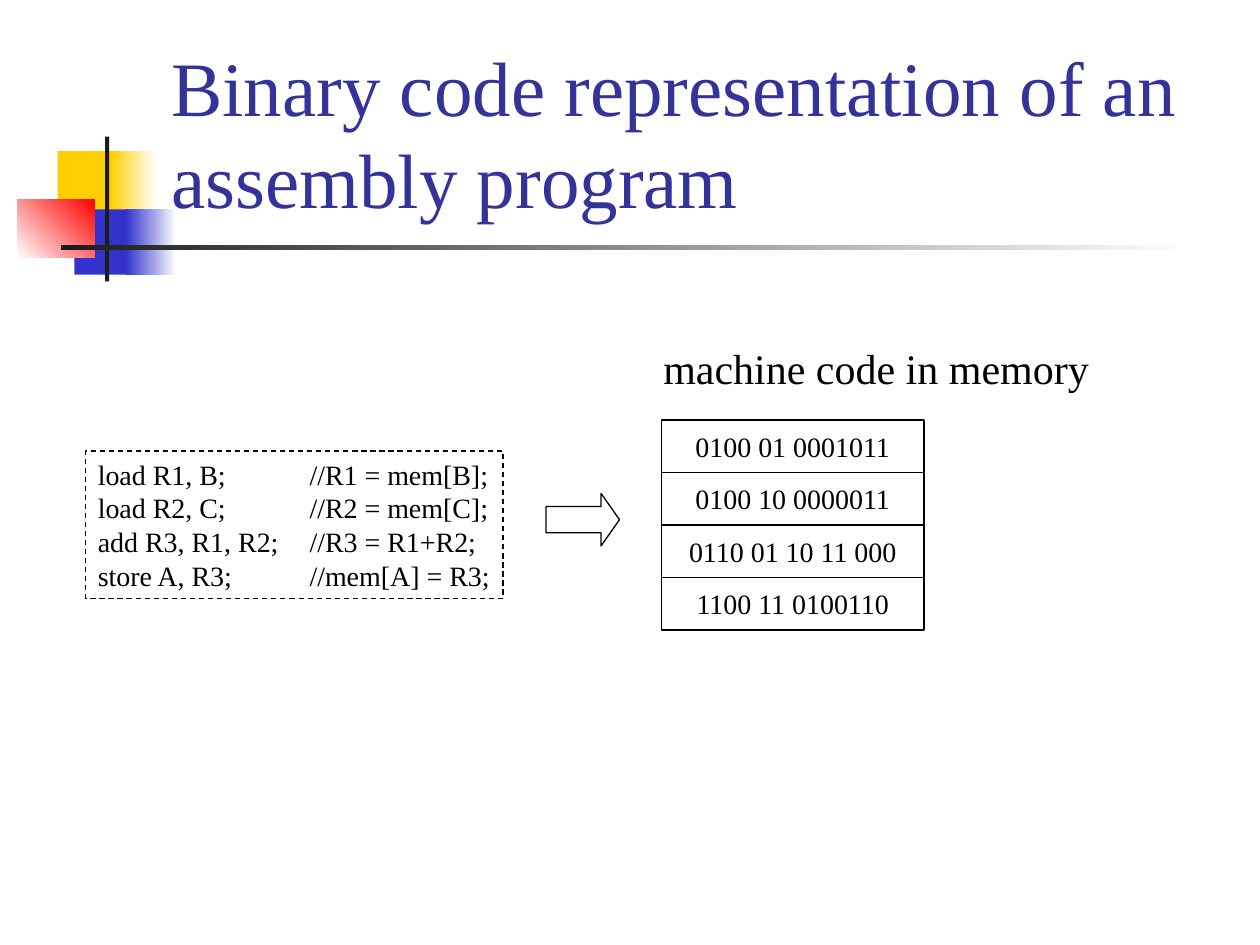
"""Build a slide that shows an assembly program beside its binary code in memory."""
from lxml.etree import SubElement
from pptx import Presentation
from pptx.dml.color import RGBColor
from pptx.enum.dml import MSO_LINE
from pptx.enum.shapes import MSO_SHAPE
from pptx.enum.text import MSO_ANCHOR, MSO_AUTO_SIZE, PP_ALIGN
from pptx.oxml.ns import qn
from pptx.util import Pt

BLACK = RGBColor(0x00, 0x00, 0x00)
WHITE = RGBColor(0xFF, 0xFF, 0xFF)
CHARCOAL = RGBColor(0x1C, 0x1C, 0x1C)
YELLOW = RGBColor(0xFF, 0xCF, 0x01)
BLUE = RGBColor(0x33, 0x33, 0xCC)
RED = RGBColor(0xFF, 0x00, 0x00)
NAVY = RGBColor(0x33, 0x33, 0x99)
COMMENT_TAB = Pt(121)

deck = Presentation()
deck.slide_width, deck.slide_height = Pt(720), Pt(540)
page = deck.slides.add_slide(deck.slide_layouts[5])


def add_outline(kind, left, top, width, height):
    shape = page.shapes.add_shape(kind, Pt(left), Pt(top), Pt(width), Pt(height))
    shape.shadow.inherit = False
    shape.fill.background()
    shape.line.color.rgb = BLACK
    shape.line.width = Pt(0.75)
    return shape


def write_lines(box, lines, size, color=BLACK, anchor=MSO_ANCHOR.TOP,
                align=PP_ALIGN.LEFT, wrap=True, tab=None):
    frame = box.text_frame
    frame_format = {"auto_size": MSO_AUTO_SIZE.NONE, "word_wrap": wrap, "vertical_anchor": anchor}
    for name, value in frame_format.items():
        setattr(frame, name, value)
    frame.text = "\n".join(lines)
    font_format = {"name": "Times New Roman", "size": Pt(size)}
    for paragraph in frame.paragraphs:
        paragraph.alignment = align
        paragraph.line_spacing = Pt(round(size * 1.2, 1))
        if tab:
            stops = SubElement(paragraph._p.get_or_add_pPr(), qn("a:tabLst"))
            SubElement(stops, qn("a:tab"), pos=str(tab), algn="l")
        for span in paragraph.runs:
            for name, value in font_format.items():
                setattr(span.font, name, value)
            span.font.color.rgb = color


decorations = [
    (33, 86.4, 34.6, 37.4, [YELLOW], 0),
    (63.4, 86.4, 25.9, 37.4, [WHITE, YELLOW], 180),
    (42.5, 119.6, 33.1, 37.4, [BLUE], 0),
    (72, 119.6, 28.8, 37.4, [WHITE, BLUE], 180),
    (9.8, 113.8, 44.5, 33.5, [RED, WHITE], 225),
    (60, 78, 2.4, 82.8, [CHARCOAL], 0),
    (34.8, 140.2, 648, 2.4, [WHITE, CHARCOAL], 180),
]
for left, top, width, height, colors, angle in decorations:
    block = add_outline(MSO_SHAPE.RECTANGLE, left, top, width, height)
    block.line.fill.background()
    if len(colors) == 1:
        block.fill.solid()
        block.fill.fore_color.rgb = colors[0]
    else:
        block.fill.gradient()
        block.fill.gradient_angle = angle
        for stop, color in zip(block.fill.gradient_stops, colors):
            stop.color.rgb = color

title = page.shapes.title
page.shapes.element.append(title.element)
title_place = {"left": Pt(90.7), "top": Pt(16.6), "width": Pt(613.4), "height": Pt(115.2)}
for name, value in title_place.items():
    setattr(title, name, value)
write_lines(title, ["Binary code representation of an assembly program"], 44, NAVY, MSO_ANCHOR.BOTTOM)

program = [
    "load R1, B;\t//R1 = mem[B];",
    "load R2, C;\t//R2 = mem[C];",
    "add R3, R1, R2;\t//R3 = R1+R2;",
    "store A, R3;\t//mem[A] = R3;",
]
program_box = add_outline(MSO_SHAPE.RECTANGLE, 48.8, 257.8, 238.6, 84.2)
program_box.line.dash_style = MSO_LINE.DASH
program_box.text_frame.margin_right = Pt(0)
write_lines(program_box, program, 16, tab=COMMENT_TAB)

memory_words = ["0100 01 0001011", "0100 10 0000011", "0110 01 10 11 000", "1100 11 0100110"]
for row, word in enumerate(memory_words):
    cell = add_outline(MSO_SHAPE.RECTANGLE, 378, 240 + 30 * row, 150, 30)
    write_lines(cell, [word], 16, anchor=MSO_ANCHOR.MIDDLE, align=PP_ALIGN.CENTER, wrap=False)

memory_label = page.shapes.add_textbox(Pt(372), Pt(192), Pt(258), Pt(36))
write_lines(memory_label, ["machine code in memory"], 24)

arrow = add_outline(MSO_SHAPE.RIGHT_ARROW, 312, 282, 42, 30)
arrow.adjustments[0] = 0.5
arrow.adjustments[1] = 0.35

deck.save("out.pptx")
